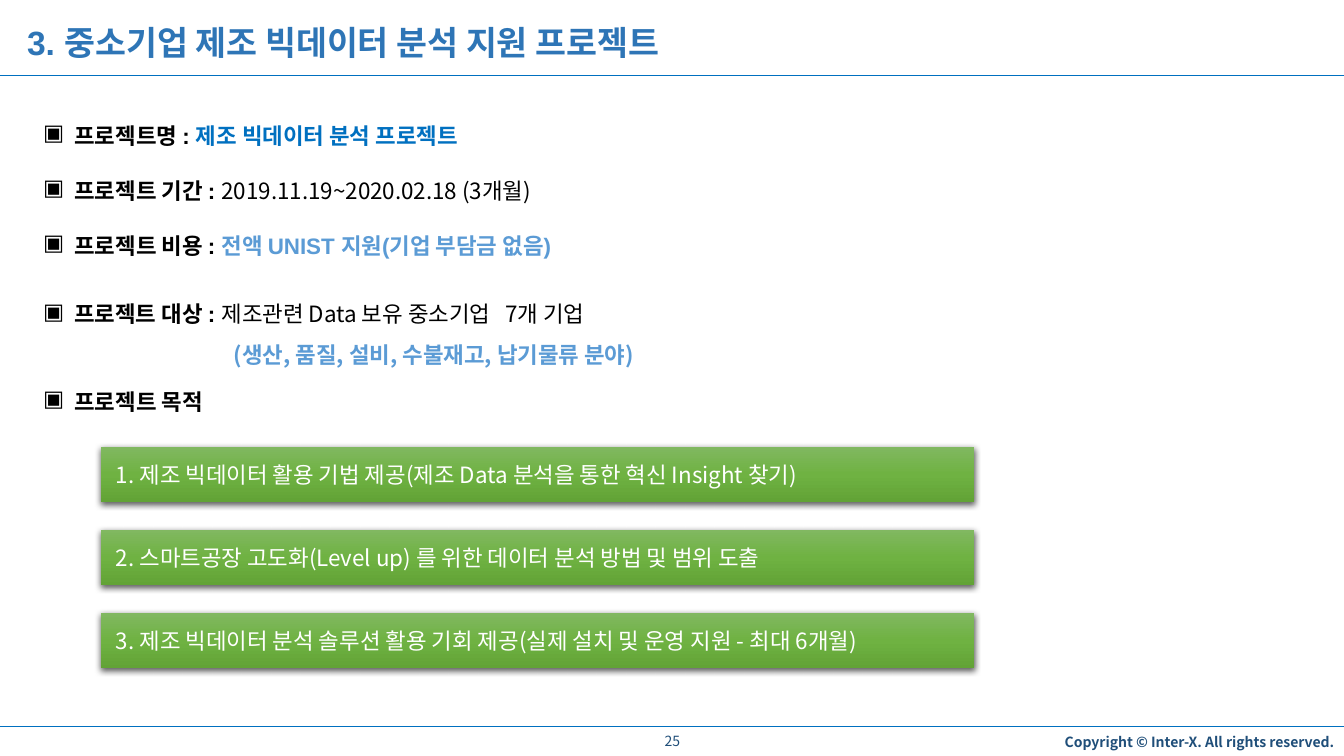
import pptx
import pptx.dml.color
import pptx.enum.shapes
import pptx.enum.text
import pptx.oxml
import pptx.oxml.ns
import pptx.util
from lxml import etree
from dataclasses import dataclass

Inches = pptx.util.Inches
Pt = pptx.util.Pt
qn = pptx.oxml.ns.qn
Align = pptx.enum.text.PP_ALIGN
Anchor = pptx.enum.text.MSO_ANCHOR

NOTO = "Noto Sans CJK KR"
ARIAL = "Arial"
NAVY = "1F4E79"
SKY = "5B9BD5"
BLACK = "000000"
WIDE = 13.33
HANG = 0.31


@dataclass
class Run:
    text: str
    font: str = NOTO
    size: int = 16
    color: str = BLACK
    bold: bool = False
    track: float = 0  # extra letter spacing in points


@dataclass
class Item:
    top: float
    width: float
    height: float
    label: str
    runs: tuple = ()
    more: str = ""
    space: float = 1


ITEMS = [
    Item(1.16, 10.49, 0.37, "프로젝트명 : ",
         (Run("제조 빅데이터 분석 프로젝트", ARIAL, color="0070C0", bold=True),)),
    Item(1.71, 5.75, 0.37, "프로젝트 기간 : ",
         (Run("2019.11.19~2020.02.18 (3개월)"),)),
    Item(2.25, 10.49, 0.37, "프로젝트 비용 : ",
         (Run("전액 UNIST 지원(기업 부담금 없음)", ARIAL, color=SKY, bold=True),)),
    Item(2.8, 10.16, 0.86, "프로젝트 대상 : ",
         (Run("제조관련 Data 보유 중소기업"), Run(" ", track=7.2), Run("7개 기업")),
         "(생산, 품질, 설비, 수불재고, 납기물류 분야)", 1.5),
    Item(3.8, 10.49, 0.37, "프로젝트 목적"),
]

GOALS = [
    "1. 제조 빅데이터 활용 기법 제공(제조 Data 분석을 통한 혁신 Insight 찾기)",
    "2. 스마트공장 고도화(Level up) 를 위한 데이터 분석 방법 및 범위 도출",
    "3. 제조 빅데이터 분석 솔루션 활용 기회 제공(실제 설치 및 운영 지원 - 최대 6개월)",
]


def rgb(code: str):
    return pptx.dml.color.RGBColor.from_string(code)


def write(para, run: Run) -> None:
    """Add one formatted run to a paragraph."""
    part = para.add_run()
    part.text = run.text
    font = part.font
    font.name, font.size, font.bold = run.font, Pt(run.size), run.bold
    font.color.rgb = rgb(run.color)
    props = part._r.get_or_add_rPr()
    etree.SubElement(props, qn("a:ea")).set("typeface", NOTO)
    if run.track:
        props.set("spc", str(round(run.track * 100)))


def frame(slide, left: float, top: float, width: float, height: float):
    """Add an empty wrapping text box and return its text frame."""
    box = slide.shapes.add_textbox(*map(Inches, (left, top, width, height)))
    box.text_frame.word_wrap = True
    return box.text_frame


def label(slide, text: str, *, at: tuple, align=Align.LEFT,
          anchor=Anchor.TOP, **style) -> None:
    body = frame(slide, *at)
    body.vertical_anchor = anchor
    para = body.paragraphs[0]
    para.alignment = align
    write(para, Run(text, **style))


def rule(slide, top: float) -> None:
    """Draw a line across the whole slide."""
    kind = pptx.enum.shapes.MSO_CONNECTOR.STRAIGHT
    line = slide.shapes.add_connector(
        kind, 0, Inches(top), Inches(WIDE), Inches(top))
    line.line.color.rgb = rgb("0070C0")
    line.line.width = Pt(0.5)
    etree.SubElement(line._element.spPr, qn("a:effectLst"))


def bullet(slide, item: Item) -> None:
    body = frame(slide, 0.33, item.top, item.width, item.height)
    para = body.paragraphs[0]
    props = para._p.get_or_add_pPr()
    props.set("marL", str(Inches(HANG)))
    props.set("indent", str(-Inches(HANG)))
    etree.SubElement(props, qn("a:buChar")).set("char", "▣")
    para.line_spacing = item.space
    for run in (Run(item.label, ARIAL, bold=True), *item.runs):
        write(para, run)
    if item.more:
        para = body.add_paragraph()
        para._p.get_or_add_pPr().set("marL", str(Inches(1.89)))
        para.line_spacing = item.space
        write(para, Run(item.more, color=SKY, bold=True))


def shade(shape) -> None:
    """Give a shape the green gradient and the soft shadow below it."""
    props = shape._element.spPr
    grad = etree.Element(qn("a:gradFill"), rotWithShape="1")
    stops = etree.SubElement(grad, qn("a:gsLst"))
    for spot, code in ((0, "81B861"), (50, "6FB242"), (100, "62A336")):
        stop = etree.SubElement(stops, qn("a:gs"), pos=str(spot * 1000))
        etree.SubElement(stop, qn("a:srgbClr"), val=code)
    etree.SubElement(grad, qn("a:lin"), ang="5400000", scaled="0")
    props.find(qn("a:prstGeom")).addnext(grad)

    shape.line.fill.background()
    shape.shadow.inherit = False
    glow = etree.SubElement(
        props.find(qn("a:effectLst")), qn("a:outerShdw"),
        blurRad=str(Pt(4.5)), dist=str(Pt(1.5)), dir="5400000",
        algn="ctr", rotWithShape="0")
    tint = etree.SubElement(glow, qn("a:srgbClr"), val=BLACK)
    etree.SubElement(tint, qn("a:alpha"), val="63000")


def bar(slide, top: float, text: str) -> None:
    shape = slide.shapes.add_shape(
        pptx.enum.shapes.MSO_SHAPE.RECTANGLE,
        *map(Inches, (1, top, 8.66, 0.55)))
    shade(shape)
    body = shape.text_frame
    body.word_wrap = True
    body.margin_left = Inches(0.15)
    body.vertical_anchor = Anchor.MIDDLE
    para = body.paragraphs[0]
    para.alignment = Align.LEFT
    write(para, Run(text, color="FFFFFF"))


def main() -> None:
    deck = pptx.Presentation()
    deck.slide_width, deck.slide_height = Inches(WIDE), Inches(7.5)
    slide = deck.slides.add_slide(deck.slide_layouts[6])

    for top in (0.75, 7.21):
        rule(slide, top)
    label(slide, "3. 중소기업 제조 빅데이터 분석 지원 프로젝트",
          at=(0.17, 0.17, 7.26, 0.5), font=ARIAL, size=24,
          color="2E75B6", bold=True)
    for item in ITEMS:
        bullet(slide, item)
    for step, goal in enumerate(GOALS):
        bar(slide, 4.43 + step * 0.825, goal)
    label(slide, "25", at=(5.8, 7.25, 1.74, 0.2), align=Align.CENTER,
          anchor=Anchor.MIDDLE, size=10, color=NAVY)
    label(slide, "Copyright © Inter-X. All rights reserved.",
          at=(9.27, 7.23, 4.06, 0.27), align=Align.RIGHT,
          size=10, color=NAVY, bold=True)
    deck.save("out.pptx")


if __name__ == "__main__":
    main()
